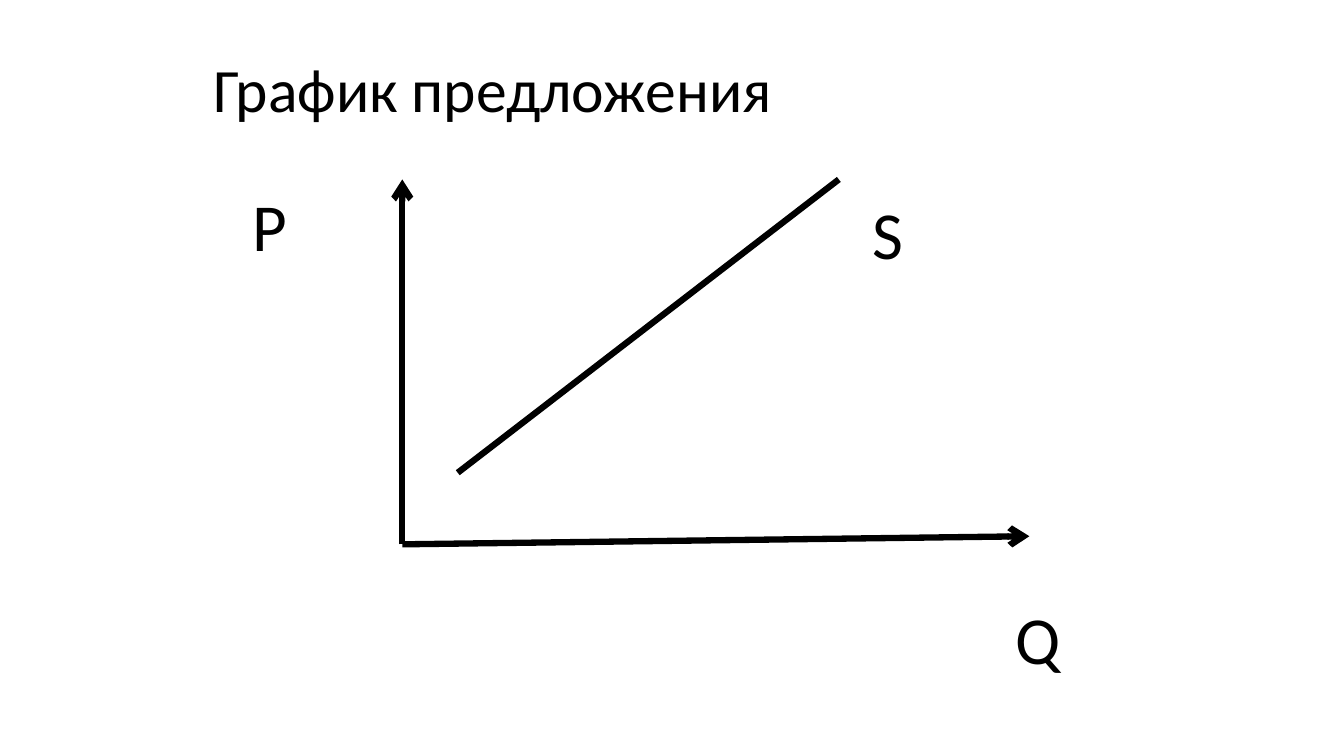
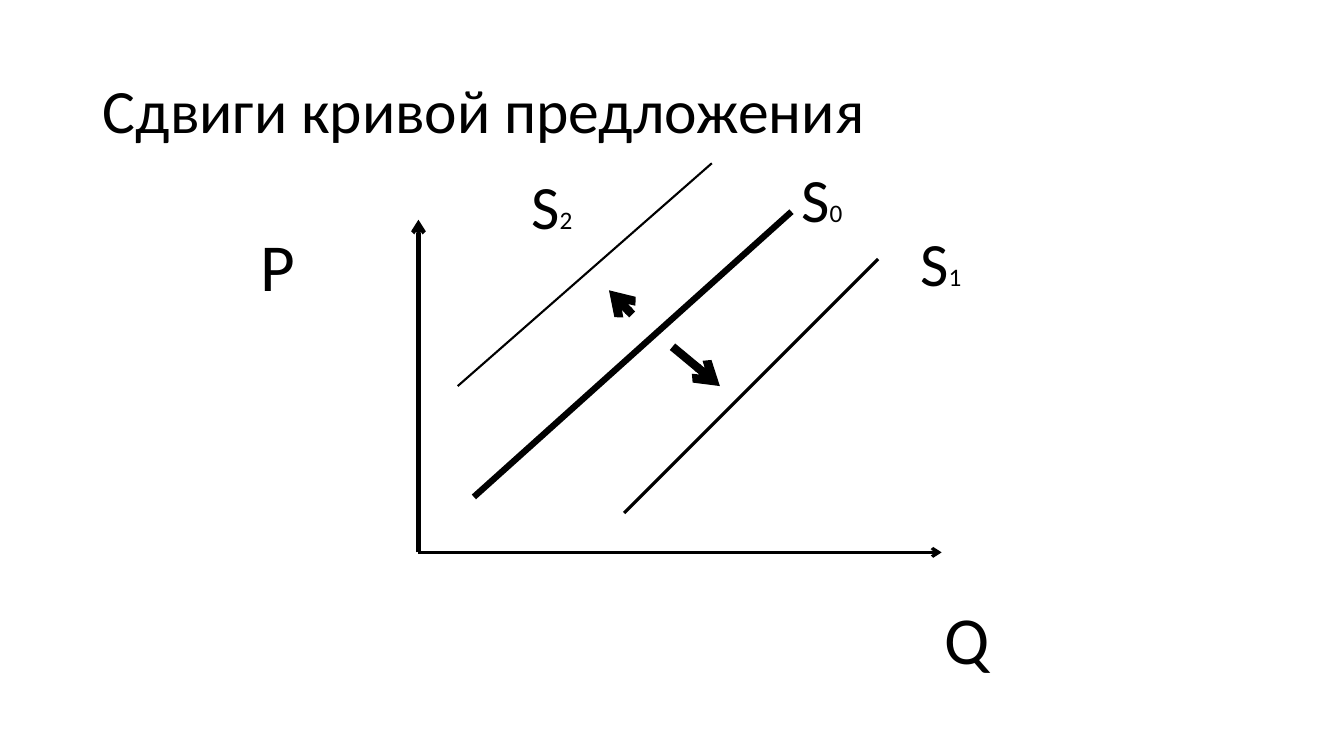
from lxml import etree
from pptx import Presentation
from pptx.dml.color import RGBColor
from pptx.enum.shapes import MSO_CONNECTOR
from pptx.enum.text import MSO_ANCHOR, MSO_AUTO_SIZE, PP_ALIGN
from pptx.oxml.ns import qn
from pptx.util import Emu, Pt

STRAIGHT = MSO_CONNECTOR.STRAIGHT
MIDDLE = MSO_ANCHOR.MIDDLE
NO_FIT, GROW = MSO_AUTO_SIZE.NONE, MSO_AUTO_SIZE.SHAPE_TO_FIT_TEXT
LEFT = PP_ALIGN.LEFT

COLORS = {"ink": "000000", "background": "FFFFFF"}
FONT = "Calibri"
TITLE_SIZE, AXIS_SIZE, CURVE_SIZE, INDEX_SIZE = 44, 48, 44, 18
TITLE_ONLY = 5
EMU_PER_PX = 9144


def px(length):
    """Turn px (100 to the inch) into EMU."""
    return Emu(length * EMU_PER_PX)


def color(name):
    """Look up a named colour."""
    return RGBColor.from_string(COLORS[name])


def style_font(font, size):
    """Apply the shared typeface and colour at a size in points."""
    font.name = FONT
    font.size = Pt(size)
    font.color.rgb = color("ink")


def place(shape, box):
    """Move a shape to a box of left, top, width and height."""
    shape.left, shape.top, shape.width, shape.height = map(px, box)


def add_titled_slide(presentation, title, box):
    """Add a slide with a formatted title and return it."""
    slide = presentation.slides.add_slide(presentation.slide_layouts[TITLE_ONLY])
    slide.background.fill.solid()
    slide.background.fill.fore_color.rgb = color("background")
    shape = slide.shapes.title
    place(shape, box)
    frame = shape.text_frame
    frame.text = title
    frame.auto_size = NO_FIT
    frame.vertical_anchor = MIDDLE
    paragraph = frame.paragraphs[0]
    paragraph.alignment = LEFT
    paragraph.line_spacing = 0.9
    style_font(paragraph.font, TITLE_SIZE)
    return slide


def add_line(slide, start, end, width, arrow=False):
    """Draw a straight line, with an arrowhead at its end if asked."""
    connector = slide.shapes.add_connector(STRAIGHT, *map(px, start + end))
    connector.line.color.rgb = color("ink")
    connector.line.width = Pt(width)
    properties = connector._element.spPr
    if arrow:
        etree.SubElement(properties.find(qn("a:ln")), qn("a:tailEnd"), type="arrow")
    etree.SubElement(properties, qn("a:effectLst"))


def add_axes(slide, origin, price_top, quantity_end, widths):
    """Draw the price and quantity axes from their origin."""
    for end, width in zip(((origin[0], price_top), quantity_end), widths):
        add_line(slide, origin, end, width, arrow=True)


def add_label(slide, letter, box, size=AXIS_SIZE, index=""):
    """Add a letter, followed by a small index if given."""
    shape = slide.shapes.add_textbox(*map(px, box))
    frame = shape.text_frame
    frame.word_wrap = True
    frame.auto_size = GROW
    paragraph = frame.paragraphs[0]
    style_font(paragraph.font, size)
    paragraph.add_run().text = letter
    if index:
        run = paragraph.add_run()
        run.text = index
        run.font.size = Pt(INDEX_SIZE)


def build_supply_slide(presentation):
    """Build the slide with the single supply curve."""
    slide = add_titled_slide(presentation, "График предложения", (202, 29, 900, 125))
    add_axes(slide, (399, 540), 178, (1021, 532), (4.5, 4.5))
    add_line(slide, (454, 469), (832, 178), 4.5)
    add_label(slide, "P", (241, 178, 134, 91))
    add_label(slide, "Q", (997, 588, 142, 91))
    add_label(slide, "S", (856, 186, 126, 91))


def build_shift_slide(presentation):
    """Build the slide with the supply curve moving both ways."""
    slide = add_titled_slide(presentation, "Сдвиги кривой предложения", (92, 40, 1150, 145))
    add_axes(slide, (415, 548), 218, (934, 548), (3, 2.25))
    add_label(slide, "P", (249, 218, 134, 91))
    add_label(slide, "Q", (927, 588, 150, 91))
    curves = [
        ("0", (470, 493), (785, 210), 4.5, (785, 155, 110, 84)),
        ("1", (619, 509), (871, 257), 2.25, (903, 218, 94, 84)),
        ("2", (454, 383), (706, 162), 1.5, (517, 162, 110, 84)),
    ]
    for index, start, end, width, label_box in curves:
        add_line(slide, start, end, width)
        add_label(slide, "S", label_box, CURVE_SIZE, index)
    for start, end in (((627, 312), (604, 288)), ((667, 344), (714, 383))):
        add_line(slide, start, end, 6, arrow=True)


def main():
    """Build and save the presentation."""
    presentation = Presentation()
    presentation.slide_width, presentation.slide_height = px(1333), px(750)
    build_supply_slide(presentation)
    build_shift_slide(presentation)
    presentation.save("out.pptx")


if __name__ == "__main__":
    main()
